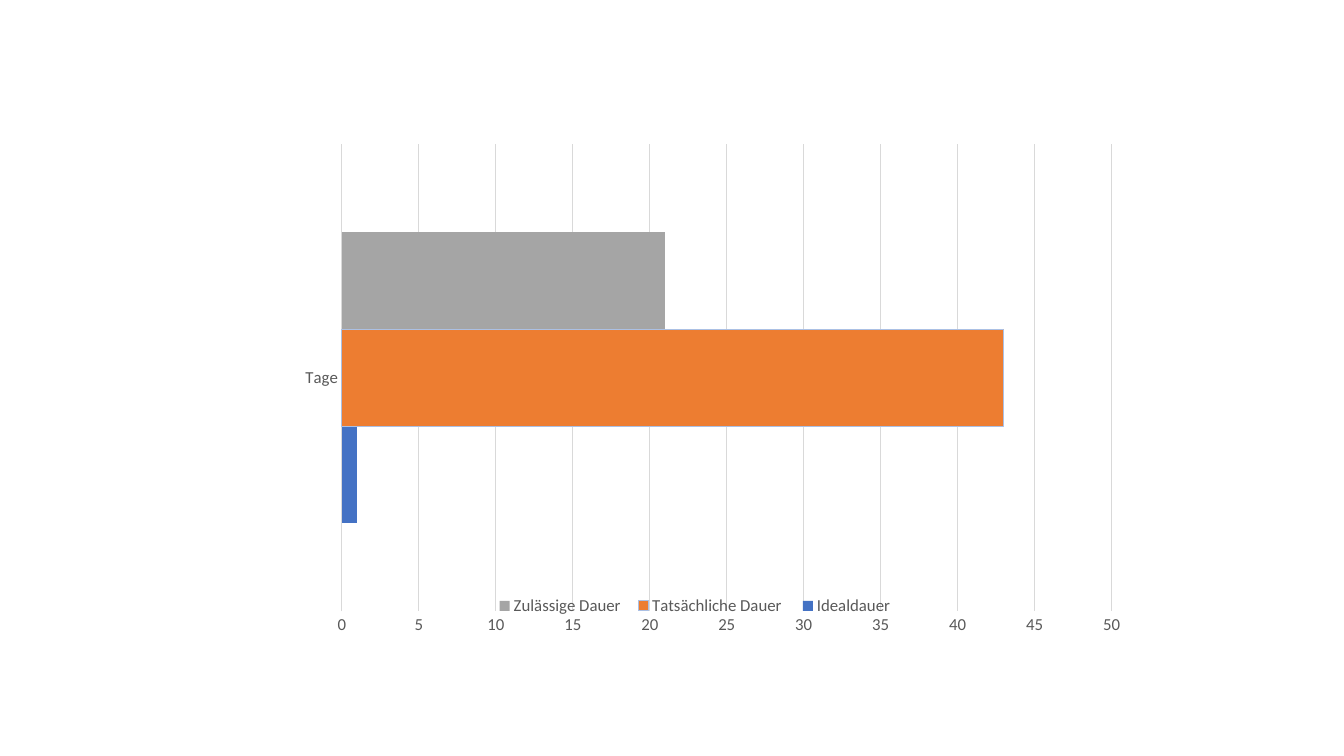
"""Build a slide with a bar chart of ideal, actual and permitted duration."""
from dataclasses import dataclass
from typing import Any, Optional

from lxml.etree import SubElement
from pptx import Presentation
from pptx.chart.data import CategoryChartData
from pptx.dml.color import RGBColor
from pptx.enum.chart import XL_CHART_TYPE, XL_LEGEND_POSITION, XL_TICK_MARK
from pptx.oxml.ns import qn
from pptx.util import Emu, Pt


@dataclass(frozen=True)
class Theme:
    """Colours, font and sizes of the slide."""
    font: str = "Calibri"
    text: str = "595959"
    grid: str = "D9D9D9"
    size: int = 12
    line: float = 0.75


@dataclass(frozen=True)
class Bar:
    """One series of the chart."""
    name: str
    days: int
    fill: str
    edge: Optional[str] = None


@dataclass(frozen=True)
class Box:
    """A place in px."""
    left: int
    top: int
    width: int
    height: int


THEME = Theme()
SLIDE = Box(0, 0, 1344, 756)
FRAME = Box(247, 46, 896, 606)
PLOT = Box(95, 98, 770, 467)
KEY = Box(241, 548, 414, 24)
BARS = [
    Bar("Idealdauer", 1, "4472C4"),
    Bar("Tatsächliche Dauer ", 43, "ED7D31", "ABC0E4"),
    Bar("Zulässige Dauer", 21, "A5A5A5"),
]


def px(count: int) -> Emu:
    """Turn px into EMU."""
    return Emu(round(count * 914400 / 100.8))


def stroke(line: Any, color: str) -> None:
    """Give a line its colour and width."""
    line.color.rgb = RGBColor.from_string(color)
    line.width = Pt(THEME.line)


def style(font: Any) -> None:
    """Give a font the theme's face, size and colour."""
    font.name = THEME.font
    font.size = Pt(THEME.size)
    font.color.rgb = RGBColor.from_string(THEME.text)


def place(part: Any, index: int, box: Box, inner: bool = False) -> None:
    """Set the manual layout of a chart part, in px within the frame."""
    for old in part.findall(qn("c:layout")):
        part.remove(old)
    layout = SubElement(part, qn("c:layout"))
    part.insert(index, layout)
    manual = SubElement(layout, qn("c:manualLayout"))
    rules = {"xMode": "edge", "yMode": "edge",
             "x": round(box.left / FRAME.width, 3),
             "y": round(box.top / FRAME.height, 3),
             "w": round(box.width / FRAME.width, 3),
             "h": round(box.height / FRAME.height, 3)}
    if inner:
        rules = {"layoutTarget": "inner", **rules}
    for tag, value in rules.items():
        SubElement(manual, qn(f"c:{tag}")).set("val", str(value))


def draw(slide: Any) -> None:
    """Draw the bar chart."""
    data = CategoryChartData()
    data.categories = ["Tage"]
    for bar in BARS:
        data.add_series(bar.name, [bar.days])
    chart = slide.shapes.add_chart(
        XL_CHART_TYPE.BAR_CLUSTERED, px(FRAME.left), px(FRAME.top),
        px(FRAME.width), px(FRAME.height), data).chart
    chart.has_title = False
    style(chart.font)

    plot = chart.plots[0]
    plot.gap_width = 182
    plot.vary_by_categories = False
    for bar, series in zip(BARS, plot.series):
        series.format.fill.solid()
        series.format.fill.fore_color.rgb = RGBColor.from_string(bar.fill)
        if bar.edge:
            stroke(series.format.line, bar.edge)

    for axis in (chart.category_axis, chart.value_axis):
        axis.major_tick_mark = axis.minor_tick_mark = XL_TICK_MARK.NONE
        style(axis.tick_labels.font)
    stroke(chart.category_axis.format.line, THEME.grid)
    scale = chart.value_axis
    scale.minimum_scale, scale.maximum_scale, scale.major_unit = 0, 50, 5
    scale.format.line.fill.background()
    stroke(scale.major_gridlines.format.line, THEME.grid)

    chart.has_legend = True
    legend = chart.legend
    legend.position = XL_LEGEND_POSITION.BOTTOM
    legend.include_in_layout = False
    style(legend.font)
    root = chart.element
    place(root.find(f".//{qn('c:plotArea')}"), 0, PLOT, inner=True)
    place(root.find(f".//{qn('c:legend')}"), 1, KEY)


def main() -> None:
    """Build and save the slide."""
    deck = Presentation()
    deck.slide_width, deck.slide_height = px(SLIDE.width), px(SLIDE.height)
    draw(deck.slides.add_slide(deck.slide_layouts[6]))
    deck.save("out.pptx")


if __name__ == "__main__":
    main()
